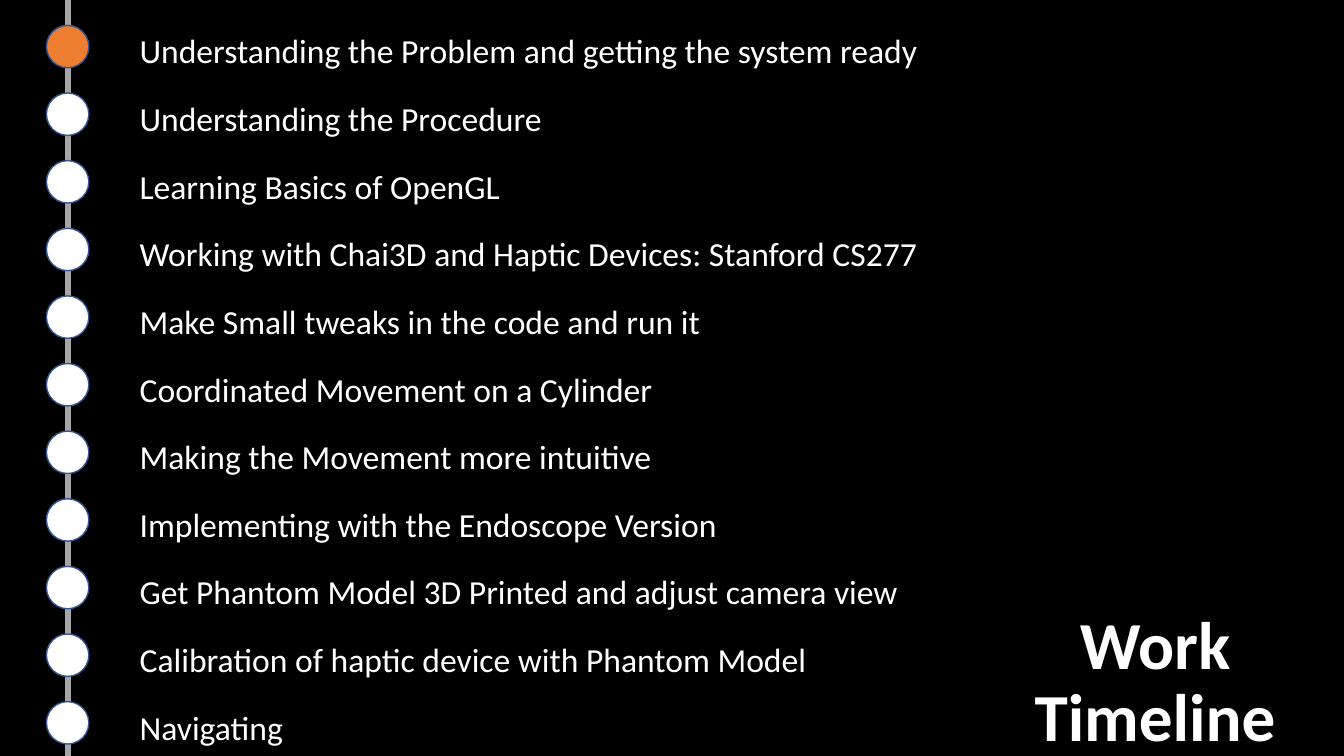
from lxml.etree import SubElement
from pptx import Presentation
from pptx.dml.color import RGBColor
from pptx.enum.shapes import MSO_CONNECTOR, MSO_SHAPE
from pptx.enum.text import MSO_ANCHOR, MSO_AUTO_SIZE, PP_ALIGN
from pptx.oxml.ns import qn
from pptx.util import Cm, Pt

COLORS = {
    "background": "000000",
    "text": "FFFFFF",
    "rail": "A6A6A6",
    "current": "ED7D31",
    "upcoming": "FFFFFF",
    "outline": "325491",
}
FONT = "Calibri"
PAGE_WIDTH, PAGE_HEIGHT = 33.87, 19.05

# Each milestone with the width of its label in cm
MILESTONES = [
    ("Understanding the Problem and getting the system ready", 25.55),
    ("Understanding the Procedure", 16.81),
    ("Learning Basics of OpenGL", 12.7),
    ("Working with Chai3D and Haptic Devices: Stanford CS277", 26.14),
    ("Make Small tweaks in the code and run it", 24.28),
    ("Coordinated Movement on a Cylinder", 15.65),
    ("Making the Movement more intuitive", 22.86),
    ("Implementing with the Endoscope Version", 23.62),
    ("Get Phantom Model 3D Printed and adjust camera view", 20.52),
    ("Calibration of haptic device with Phantom Model", 18.14),
    ("Navigating", 12.7),
]
CURRENT = 0
FIRST_TOP, LAST_TOP = 0.64, 17.68
DOT_SIZE = 1.07
LABEL_OFFSET = 2.1


def color(name):
    return RGBColor.from_string(COLORS[name])


def format_text(para, size, bold=False):
    for span in para.runs:
        span.font.name = FONT
        span.font.size = Pt(size)
        span.font.bold = bold
        span.font.color.rgb = color("text")


def add_title(page, left, top, width, height):
    title = page.shapes.title
    title.left, title.top = Cm(left), Cm(top)
    title.width, title.height = Cm(width), Cm(height)
    frame = title.text_frame
    frame.text = "Work Timeline"
    frame.word_wrap = True
    frame.auto_size = MSO_AUTO_SIZE.NONE
    frame.vertical_anchor = MSO_ANCHOR.MIDDLE
    para = frame.paragraphs[0]
    para.alignment = PP_ALIGN.CENTER
    para.line_spacing = 0.9
    format_text(para, 48, bold=True)


def add_rail(page, x, top, bottom):
    rail = page.shapes.add_connector(
        MSO_CONNECTOR.STRAIGHT, Cm(x), Cm(top), Cm(x), Cm(bottom))
    rail.line.color.rgb = color("rail")
    rail.line.width = Pt(4.5)
    SubElement(rail._element.spPr, qn("a:effectLst"))


def add_milestone(page, left, top, label, label_width, is_current):
    # Marker on the rail
    dot = page.shapes.add_shape(
        MSO_SHAPE.OVAL, Cm(left), Cm(top), Cm(DOT_SIZE), Cm(DOT_SIZE))
    dot.shadow.inherit = False
    dot.fill.solid()
    dot.fill.fore_color.rgb = color("current" if is_current else "upcoming")
    dot.line.color.rgb = color("outline")
    dot.line.width = Pt(1)

    # Label beside the marker
    box = page.shapes.add_textbox(
        Cm(left + LABEL_OFFSET), Cm(top), Cm(label_width), Cm(1.28))
    frame = box.text_frame
    frame.text = label
    frame.word_wrap = True
    frame.auto_size = MSO_AUTO_SIZE.SHAPE_TO_FIT_TEXT
    format_text(frame.paragraphs[0], 24)


def add_timeline(page, left, height):
    add_rail(page, left + DOT_SIZE / 2, 0, height)
    pitch = (LAST_TOP - FIRST_TOP) / (len(MILESTONES) - 1)
    for index, (label, width) in enumerate(MILESTONES):
        add_milestone(page, left, FIRST_TOP + index * pitch,
                      label, width, index == CURRENT)


def main():
    deck = Presentation()
    deck.slide_width, deck.slide_height = Cm(PAGE_WIDTH), Cm(PAGE_HEIGHT)
    page = deck.slides.add_slide(deck.slide_layouts.get_by_name("Title Only"))
    page.background.fill.solid()
    page.background.fill.fore_color.rgb = color("background")
    add_title(page, 24.35, 15.7, 9.52, 3.05)
    add_timeline(page, 1.17, PAGE_HEIGHT)
    deck.save("out.pptx")


if __name__ == "__main__":
    main()
